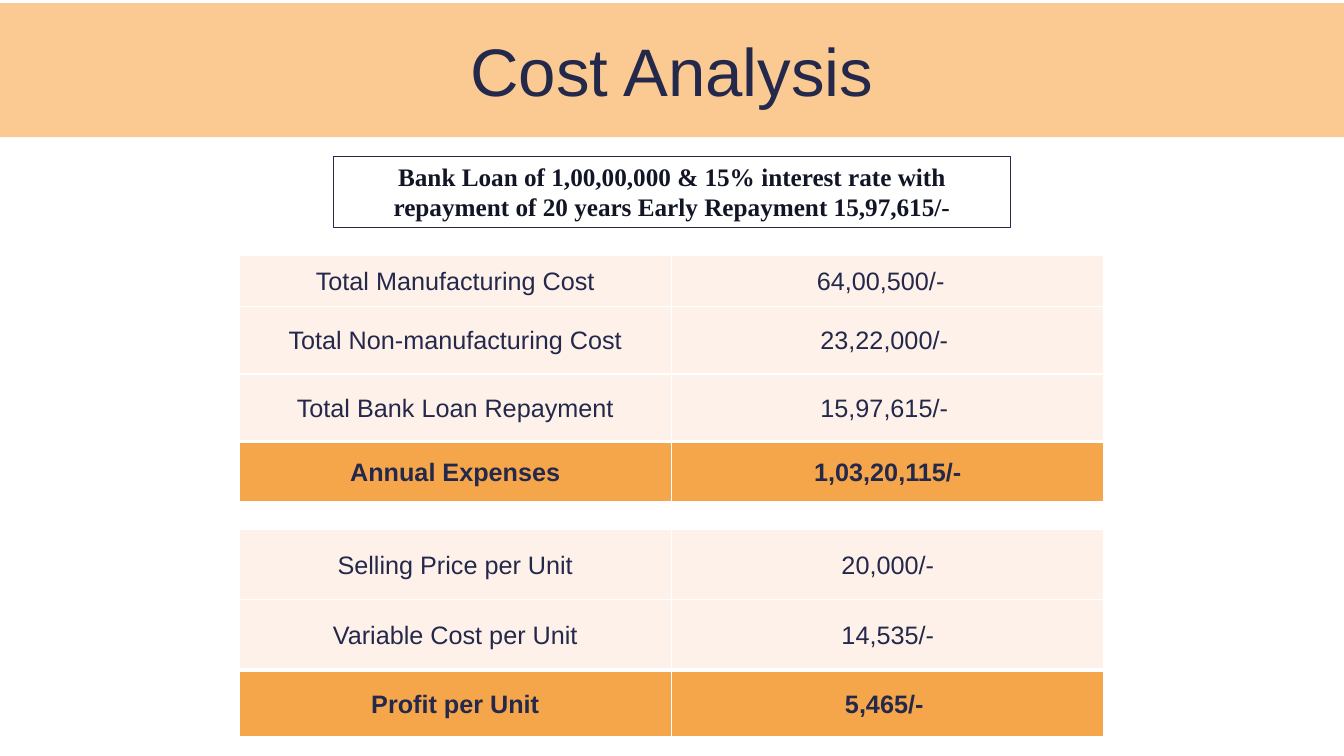
from pptx import Presentation
from pptx.dml.color import RGBColor
from pptx.enum.shapes import MSO_SHAPE as Shape
from pptx.enum.text import MSO_ANCHOR as Anchor, MSO_AUTO_SIZE as Fit, PP_ALIGN as Align
from pptx.oxml.ns import qn
from pptx.util import Inches, Pt
from lxml.etree import SubElement

NAVY, INK, WHITE = "24294B", "121526", "FFFFFF"
PEACH, CREAM, ORANGE = "FACA92", "FDF1E9", "F6A64A"
SPACE = 0.07  # width of one space at 18 pt, in inches

# label, value, row height, spaces kept free after the value
COSTS = [
    ("Total Manufacturing Cost", "64,00,500/-", 0.51, 2),
    ("Total Non-manufacturing Cost", "23,22,000/-", 0.67, 1),
    ("Total Bank Loan Repayment", "15,97,615/-", 0.67, 1),
    ("Annual Expenses", "1,03,20,115/-", 0.6, 0),
]
UNITS = [
    ("Selling Price per Unit", "20,000/-", 0.7, 0),
    ("Variable Cost per Unit", "14,535/-", 0.7, 0),
    ("Profit per Unit", "5,465/-", 0.66, 1),
]


def paint(fmt, color):
    """Set a solid colour on a fill."""
    fmt.solid()
    fmt.fore_color.rgb = RGBColor.from_string(color)


def write(frame, text, size, color=NAVY, font="Arial", bold=False):
    para = frame.paragraphs[0]
    para.alignment = Align.CENTER
    run = para.add_run()
    run.text = text
    run.font.name, run.font.size, run.font.bold = font, Pt(size), bold
    run.font.color.rgb = RGBColor.from_string(color)
    return para


def add_title(slide, text):
    title = slide.shapes.title
    title.left, title.top = Inches(0), Inches(0.03)
    title.width, title.height = Inches(13.33), Inches(1.33)
    paint(title.fill, PEACH)
    frame = title.text_frame
    frame.auto_size, frame.vertical_anchor = Fit.NONE, Anchor.MIDDLE
    frame.margin_left = frame.margin_right = Inches(0.1)
    frame.margin_top = frame.margin_bottom = Inches(0.1)
    write(frame, text, 48)


def add_note(slide, text):
    box = slide.shapes.add_shape(
        Shape.RECTANGLE, Inches(3.31), Inches(1.55), Inches(6.71), Inches(0.71))
    box.shadow.inherit = False
    box.fill.background()
    paint(box.line.fill, NAVY)
    box.line.width = Pt(0.75)
    frame = box.text_frame
    frame.word_wrap, frame.vertical_anchor = True, Anchor.TOP
    frame.auto_size = Fit.SHAPE_TO_FIT_TEXT
    write(frame, text, 18, INK, "Times New Roman", True)


def edge(cell, top):
    """Draw white cell borders, the upper one as wide as given."""
    props = cell._tc.get_or_add_tcPr()
    for side, width in (("L", 1), ("R", 1), ("T", top), ("B", 1)):
        line = SubElement(props, qn("a:ln" + side), w=str(Pt(width)))
        fill = SubElement(line, qn("a:solidFill"))
        SubElement(fill, qn("a:srgbClr"), val=WHITE)


def fill_cell(cell, text, total, spaces):
    edge(cell, 3 if total else 1)
    paint(cell.fill, ORANGE if total else CREAM)
    cell.vertical_anchor = Anchor.MIDDLE
    cell.margin_left = Inches(0.07)
    cell.margin_right = Inches(0.07 + spaces * SPACE)
    cell.margin_top = cell.margin_bottom = Inches(0)
    para = write(cell.text_frame, text, 18, bold=total)
    para.line_spacing = 1.07


def add_sums(slide, top, rows):
    """Add a two-column table whose last row is the total."""
    high = sum(row[2] for row in rows)
    table = slide.shapes.add_table(
        len(rows), 2, Inches(2.37), Inches(top), Inches(8.58), Inches(high)).table
    table.first_row = table.horz_banding = False
    for i, (label, value, height, spaces) in enumerate(rows):
        table.rows[i].height = Inches(height)
        total = i == len(rows) - 1
        fill_cell(table.cell(i, 0), label, total, 0)
        fill_cell(table.cell(i, 1), value, total, spaces)


def main():
    prs = Presentation()
    prs.slide_width, prs.slide_height = Inches(13.33), Inches(7.5)
    slide = prs.slides.add_slide(prs.slide_layouts[5])
    paint(slide.background.fill, WHITE)
    add_title(slide, "Cost Analysis")
    add_note(slide, "Bank Loan of 1,00,00,000 & 15% interest rate with "
                    "repayment of 20 years Early Repayment 15,97,615/-")
    add_sums(slide, 2.53, COSTS)
    add_sums(slide, 5.25, UNITS)
    prs.save("out.pptx")


if __name__ == "__main__":
    main()
